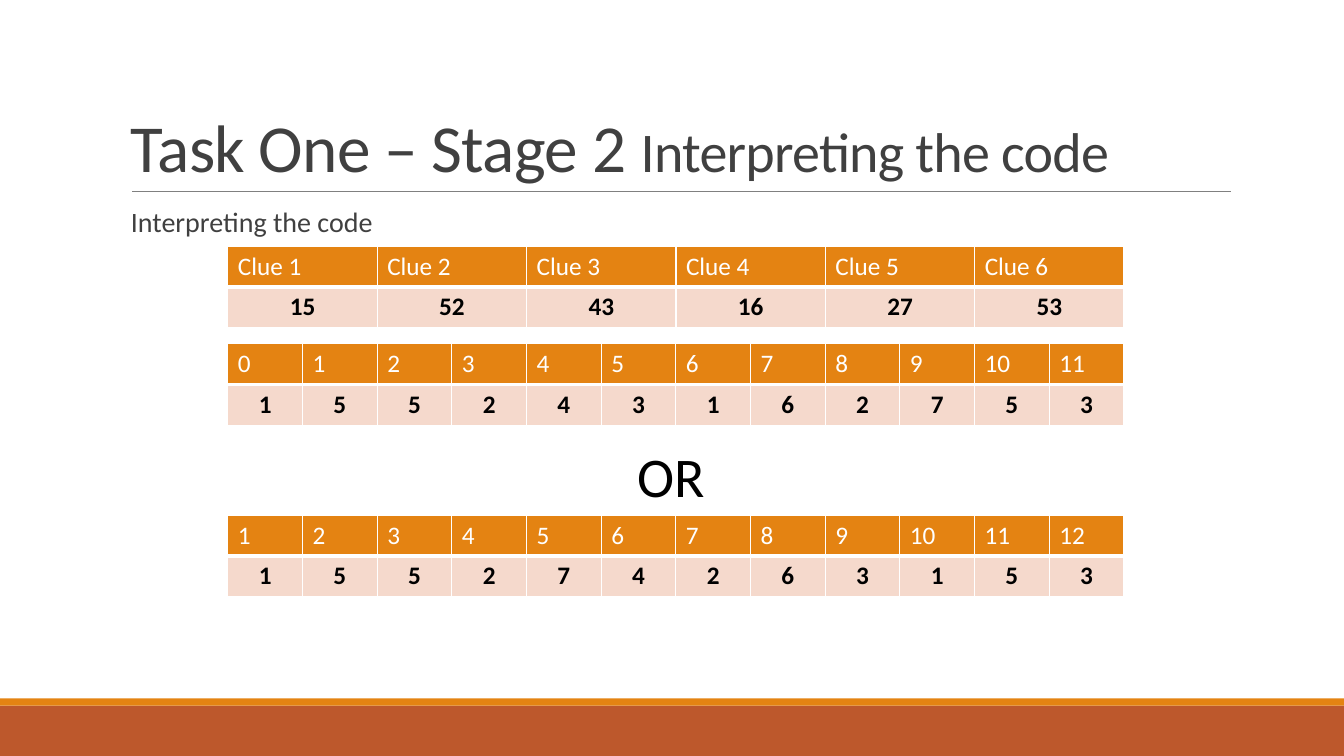
from lxml import etree
from pptx import Presentation
from pptx.dml.color import RGBColor
from pptx.enum import shapes, text
from pptx.oxml import ns
from pptx.util import Inches, Pt

WHITE = RGBColor(0xFF, 0xFF, 0xFF)
BLACK = RGBColor(0, 0, 0)
GREY = RGBColor(0x40, 0x40, 0x40)
RULE_GREY = RGBColor(0x80, 0x80, 0x80)
ORANGE = RGBColor(0xE4, 0x83, 0x12)
RUST = RGBColor(0xBD, 0x58, 0x2C)
PEACH = RGBColor(0xF5, 0xD9, 0xCC)
FONT = "Calibri"

TITLE = [("Task One – Stage 2 ", 48), ("Interpreting the code", 40)]
SUBTITLE = [("Interpreting the code", 20)]
CHOICE = [("OR", 40)]

# (top, header row, digit row)
TABLES = [
    (2.44, [f"Clue {n}" for n in range(1, 7)], [15, 52, 43, 16, 27, 53]),
    (3.41, range(12), [1, 5, 5, 2, 4, 3, 1, 6, 2, 7, 5, 3]),
    (5.11, range(1, 13), [1, 5, 5, 2, 7, 4, 2, 6, 3, 1, 5, 3]),
]
TABLE_LEFT, TABLE_WIDTH, ROW_HEIGHT = 2.26, 8.89, 0.405

# (top, height, colour)
BANDS = [(7, 0.5, RUST), (6.93, 0.07, ORANGE)]

LEFT = text.PP_ALIGN.LEFT
CENTER = text.PP_ALIGN.CENTER
ROW_STYLES = [
    {"fill": ORANGE, "align": LEFT, "font": {"color": WHITE, "bold": False},
     "borders": {"lnL": 1, "lnR": 1, "lnT": 1, "lnB": 3}},
    {"fill": PEACH, "align": CENTER, "font": {"color": BLACK, "bold": True},
     "borders": {"lnL": 1, "lnR": 1, "lnT": 3, "lnB": 1}},
]


def set_font(span, color, **formats):
    span.font.color.rgb = color
    for name, value in {"name": FONT, **formats}.items():
        setattr(span.font, name, value)


def add_text(page, area, spans, color, frame_format, para_format, tracking=0):
    """Add a one-paragraph box; tracking is in hundredths of a point."""
    box = page.shapes.add_textbox(*map(Inches, area))
    frame = box.text_frame
    para = frame.paragraphs[0]
    for target, formats in ((frame, frame_format), (para, para_format)):
        for name, value in formats.items():
            setattr(target, name, value)
    for words, size in spans:
        span = para.add_run()
        span.text = words
        set_font(span, color, size=Pt(size))
        if tracking:
            span.font._element.set("spc", str(tracking))


def set_borders(cell, widths):
    properties = cell._tc.get_or_add_tcPr()
    for side, points in widths.items():
        line = etree.SubElement(properties, ns.qn(f"a:{side}"), w=str(Pt(points)))
        fill = etree.SubElement(line, ns.qn("a:solidFill"))
        etree.SubElement(fill, ns.qn("a:srgbClr"), val=str(WHITE))


def add_code_table(page, top, *rows):
    columns = len(rows[0])
    area = (TABLE_LEFT, top, TABLE_WIDTH, ROW_HEIGHT * len(rows))
    table = page.shapes.add_table(len(rows), columns, *map(Inches, area)).table
    table.horz_banding = False
    for column in table.columns:
        column.width = Inches(TABLE_WIDTH / columns)
    for row, (values, style) in enumerate(zip(rows, ROW_STYLES)):
        for column, value in enumerate(values):
            cell = table.cell(row, column)
            set_borders(cell, style["borders"])
            cell.fill.solid()
            cell.fill.fore_color.rgb = style["fill"]
            para = cell.text_frame.paragraphs[0]
            para.alignment = style["align"]
            span = para.add_run()
            span.text = str(value)
            set_font(span, size=Pt(18), **style["font"])


def add_backdrop(page):
    """Add the bottom bands and the rule under the title."""
    for top, height, color in BANDS:
        band = page.shapes.add_shape(
            shapes.MSO_SHAPE.RECTANGLE, *map(Inches, (0, top, 13.33, height)))
        band.shadow.inherit = False
        band.fill.solid()
        band.fill.fore_color.rgb = color
        band.line.fill.background()
    rule = page.shapes.add_connector(
        shapes.MSO_CONNECTOR.STRAIGHT, *map(Inches, (1.31, 1.9, 12.21, 1.9)))
    rule.line.color.rgb = RULE_GREY
    rule.line.width = Pt(0.5)
    etree.SubElement(rule._element.spPr, ns.qn("a:effectLst"))


def main():
    deck = Presentation()
    deck.slide_width, deck.slide_height = Inches(13.33), Inches(7.5)
    page = deck.slides.add_slide(deck.slide_layouts[6])
    add_backdrop(page)
    add_text(page, (1.2, 0.31, 11, 1.59), TITLE, GREY,
             {"word_wrap": True, "vertical_anchor": text.MSO_ANCHOR.BOTTOM},
             {"line_spacing": 0.85}, tracking=-50)
    add_text(page, (1.2, 2.02, 11, 4.4), SUBTITLE, GREY,
             {"word_wrap": True, "margin_left": Inches(0.1), "margin_right": 0},
             {"line_spacing": 0.9, "space_before": Pt(12), "space_after": Pt(2)})
    for top, header, digits in TABLES:
        add_code_table(page, top, header, digits)
    add_text(page, (6.22, 4.33, 1.28, 0.77), CHOICE, BLACK,
             {"word_wrap": True, "auto_size": text.MSO_AUTO_SIZE.SHAPE_TO_FIT_TEXT}, {})
    deck.save("out.pptx")


if __name__ == "__main__":
    main()
